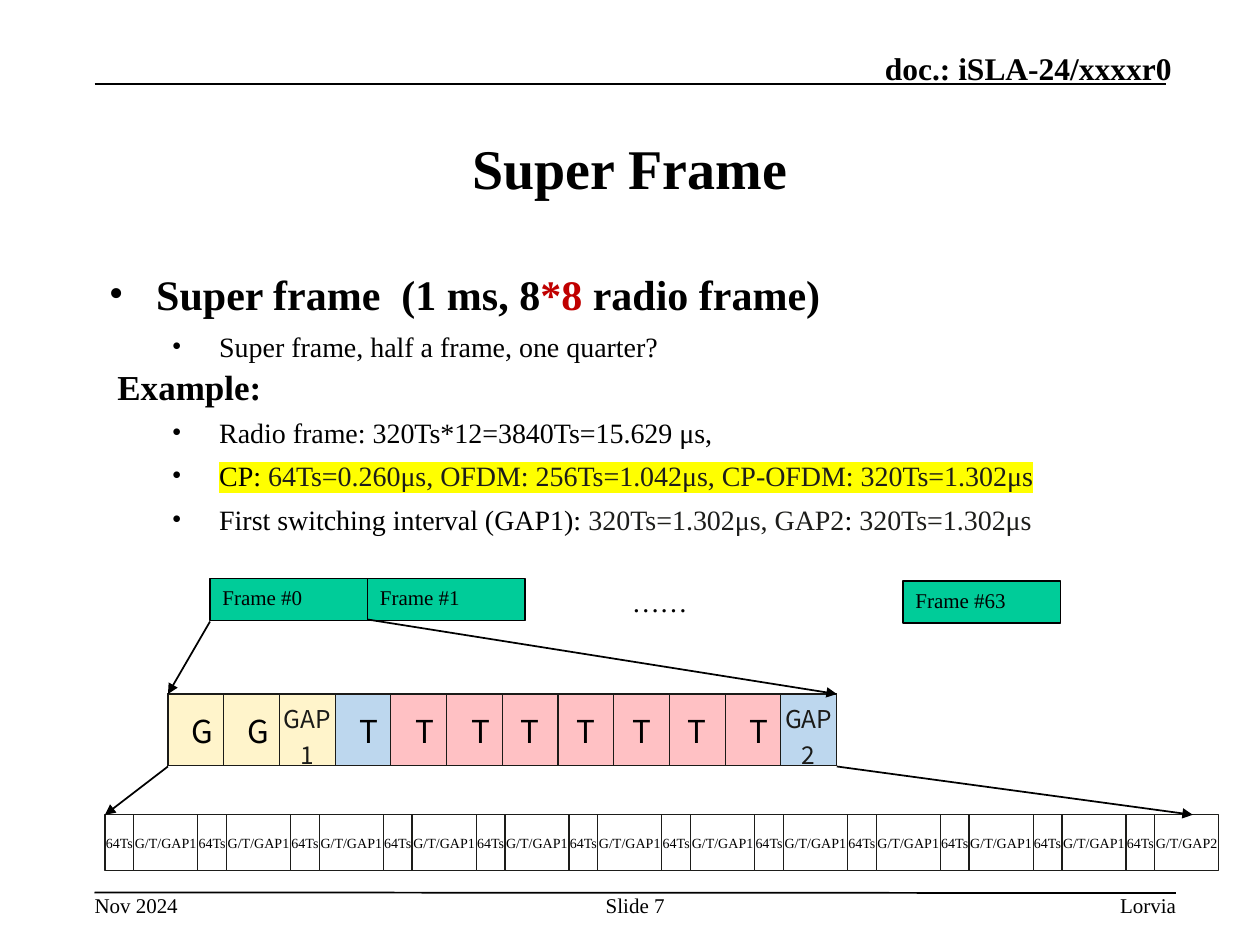
from dataclasses import dataclass, field
from typing import Any

from lxml import etree
from pptx import Presentation
from pptx.dml.color import RGBColor
from pptx.enum.shapes import MSO_CONNECTOR, MSO_SHAPE
from pptx.enum.text import MSO_ANCHOR, MSO_AUTO_SIZE, PP_ALIGN
from pptx.oxml.ns import qn
from pptx.util import Inches, Pt

RECT = MSO_SHAPE.RECTANGLE
LINE = MSO_CONNECTOR.STRAIGHT
TOP, MID, BASE = MSO_ANCHOR.TOP, MSO_ANCHOR.MIDDLE, MSO_ANCHOR.BOTTOM
LEFT, MEAN, RIGHT = PP_ALIGN.LEFT, PP_ALIGN.CENTER, PP_ALIGN.RIGHT
GROW = MSO_AUTO_SIZE.SHAPE_TO_FIT_TEXT

BLACK = RGBColor(0x00, 0x00, 0x00)
WHITE = RGBColor(0xFF, 0xFF, 0xFF)
RED = RGBColor(0xC0, 0x00, 0x00)
INK = RGBColor(0x1D, 0x1D, 0x1A)
EDGE = RGBColor(0x1B, 0x1B, 0x18)
GREEN = RGBColor(0x00, 0xCC, 0x99)
CREAM = RGBColor(0xFF, 0xF4, 0xCB)
BLUE = RGBColor(0xBD, 0xD7, 0xEE)
PINK = RGBColor(0xFF, 0xC1, 0xC4)
MARK = "FFFF00"

SERIF, SANS = "Times New Roman", "Noto Sans CJK SC"
COLS, ROWS = 120, 90
WIDE, HIGH = Inches(10), Inches(7.5)
PAD = {"margin_left": 1.2, "margin_top": 0.6, "margin_right": 1.2, "margin_bottom": 0.6}
FLUSH = dict.fromkeys(PAD, 0)


@dataclass
class Box:
    x: float
    y: float
    w: float
    h: float


@dataclass
class Run:
    text: str
    tint: RGBColor = BLACK
    mark: bool = False


@dataclass
class Style:
    size: float
    bold: bool = False
    face: str = SERIF
    tint: RGBColor = BLACK
    align: Any = LEFT
    anchor: Any = TOP
    wrap: bool = True
    grow: bool = False
    pad: dict = field(default_factory=lambda: PAD)


@dataclass
class Point:
    runs: list[Run]
    size: float = 16
    level: int = 1
    gap: float = 5.7


@dataclass
class Slot:
    text: str
    fill: RGBColor
    left: float = 0
    right: float = 0


def across(n: float) -> int:
    return round(WIDE * n / COLS)


def down(n: float) -> int:
    return round(HIGH * n / ROWS)


def place(box: Box) -> tuple[int, int, int, int]:
    return across(box.x), down(box.y), across(box.w), down(box.h)


def apply(thing: Any, form: dict) -> None:
    for key, value in form.items():
        setattr(thing, key, value)


def write(part: Any, run: Run, style: Style) -> None:
    item = part.add_run()
    item.text = run.text
    apply(item.font, {"size": Pt(style.size), "bold": style.bold, "name": style.face})
    item.font.color.rgb = run.tint
    if run.mark:
        mark = etree.Element(qn("a:highlight"))
        etree.SubElement(mark, qn("a:srgbClr"), val=MARK)
        item.font._element.find(qn("a:solidFill")).addnext(mark)


def fill_text(frame: Any, text: str, style: Style) -> None:
    pads = {key: across(n) for key, n in style.pad.items()}
    apply(frame, pads | {"word_wrap": style.wrap, "vertical_anchor": style.anchor})
    if style.grow:
        frame.auto_size = GROW
    part = frame.paragraphs[0]
    part.alignment = style.align
    write(part, Run(text, style.tint), style)


def add_text(shapes: Any, box: Box, text: str, style: Style) -> None:
    fill_text(shapes.add_textbox(*place(box)).text_frame, text, style)


def add_block(shapes: Any, box: Box, text: str, fill: RGBColor, edge: RGBColor,
              width: float, style: Style) -> None:
    block = shapes.add_shape(RECT, *place(box))
    block.shadow.inherit = False
    block.fill.solid()
    block.fill.fore_color.rgb = fill
    block.line.color.rgb = edge
    block.line.width = Pt(width)
    fill_text(block.text_frame, text, style)


def add_line(shapes: Any, x: float, y: float, to_x: float, to_y: float, tip: bool) -> None:
    line = shapes.add_connector(LINE, across(x), down(y), across(to_x), down(to_y))
    line.line.color.rgb = BLACK
    line.line.width = Pt(1)
    if tip:
        etree.SubElement(line.line._get_or_add_ln(), qn("a:tailEnd"), type="triangle")
    etree.SubElement(line._element.spPr, qn("a:effectLst"))


def add_points(shapes: Any, box: Box, points: list[Point]) -> None:
    frame = shapes.add_textbox(*place(box)).text_frame
    frame.word_wrap = True
    for i, point in enumerate(points):
        part = frame.add_paragraph() if i else frame.paragraphs[0]
        part.level = point.level
        prop = part._p.get_or_add_pPr()
        prop.set("marL", str(across(4.5 + 6 * point.level)))
        prop.set("indent", str(-across(4.5)))
        tint = etree.SubElement(prop, qn("a:buClr"))
        etree.SubElement(tint, qn("a:srgbClr"), val=str(BLACK))
        etree.SubElement(prop, qn("a:buFont"), typeface=SERIF)
        etree.SubElement(prop, qn("a:buChar"), char="•")
        part.space_before = Pt(point.gap)
        for run in point.runs:
            write(part, run, Style(point.size, bold=point.level == 0))


def add_slots(shapes: Any, box: Box, slots: list[Slot]) -> None:
    shape = shapes.add_table(1, len(slots), *place(box))
    table = shape.table
    apply(table, {"first_row": False, "horz_banding": False})
    table.rows[0].height = down(4.92)
    shape.height = down(box.h)
    for i, slot in enumerate(slots):
        table.columns[i].width = across(box.w / len(slots))
        cell = table.cell(0, i)
        pads = PAD | {"margin_left": slot.left, "margin_right": slot.right}
        apply(cell, {key: across(n) for key, n in pads.items()})
        cell.vertical_anchor = MID
        part = cell.text_frame.paragraphs[0]
        part.alignment = MEAN
        gap = slot.text.startswith("GAP")
        write(part, Run(slot.text, EDGE if gap else BLACK), Style(14 if gap else 18, face=SANS))
        prop = cell._tc.get_or_add_tcPr()
        for side in ("lnL", "lnR", "lnT", "lnB"):
            line = etree.SubElement(prop, qn(f"a:{side}"), w=str(Pt(0.75)))
            paint = etree.SubElement(line, qn("a:solidFill"))
            etree.SubElement(paint, qn("a:srgbClr"), val=str(EDGE))
        cell.fill.solid()
        cell.fill.fore_color.rgb = slot.fill


POINTS = [
    Point([Run("Super frame  (1 ms, 8"), Run("*8", RED), Run(" radio frame)")], 24, 0, 0),
    Point([Run("Super frame, half a frame, one quarter?")]),
    Point([Run("Radio frame: 320Ts*12=3840Ts=15.629 μs,")], gap=30),
    Point([Run("CP: ", mark=True),
           Run("64Ts=0.260μs, OFDM: 256Ts=1.042μs, CP-OFDM: 320Ts=1.302μs", INK, True)]),
    Point([Run("First switching interval (GAP1): "), Run("320Ts=1.302μs, GAP2", INK),
           Run(": "), Run("320Ts=1.302μs", INK)]),
]
SLOTS = [
    *[Slot("G", CREAM, 1.2)] * 2, Slot("GAP1", CREAM), Slot("T", BLUE, 1.2),
    *[Slot("T", PINK, 1.2)] * 2, Slot("T", PINK, 1.2, 1.2),
    *[Slot("T", PINK)] * 3, Slot("T", PINK, 1.2), Slot("GAP2", BLUE),
]
FRAMES = [("Frame #0", 20, 55.1), ("Frame #1", 35, 55.1), ("Frame #63", 86, 55.35)]
RULES = [(9, 8, 111, 8), (9, 85, 112, 85.05)]
LINKS = [(20, 59.2, 16, 66.1), (35, 59, 79.7, 66.1),
         (16, 73, 10, 77.6), (79.7, 73, 113.6, 77.6)]
LABELS = [
    (Box(9, 85, 8, 2.4), "Nov 2024", Style(12, wrap=False, grow=True, pad=FLUSH)),
    (Box(65.6, 4.7, 46, 3.6), "doc.: iSLA-24/xxxxr0",
     Style(18, True, align=RIGHT, anchor=BASE, pad=FLUSH)),
    (Box(90, 85, 22, 2.5), "Lorvia", Style(12, align=RIGHT, grow=True, pad=FLUSH)),
    (Box(57, 85, 7, 4.8), "Slide 7", Style(12, align=MEAN, wrap=False, grow=True, pad=FLUSH)),
    (Box(59, 55.1, 19, 4.4), "……", Style(16, grow=True)),
    (Box(10, 34.2, 18, 5.3), "Example:", Style(20, True, grow=True)),
]
CELLS, PREFIX, BODY = 12, 2.73, 6.11


def main() -> None:
    deck = Presentation()
    apply(deck, {"slide_width": WIDE, "slide_height": HIGH})
    slide = deck.slides.add_slide(deck.slide_layouts[5])
    shapes = slide.shapes
    title = shapes.title
    apply(title, dict(zip(("left", "top", "width", "height"), place(Box(9, 9, 102, 13.9)))))
    fill_text(title.text_frame, "Super Frame", Style(32, True, align=MEAN, anchor=MID))
    for rule in RULES:
        add_line(shapes, *rule, False)
    add_points(shapes, Box(9.2, 25, 102, 54), POINTS)
    for text, x, y in FRAMES:
        add_block(shapes, Box(x, y, 15, 4), text, GREEN, BLACK, 1, Style(12))
    add_slots(shapes, Box(16, 66.1, 63.7, 6.84), SLOTS)
    strip = shapes.add_group_shape().shapes
    tiny = Style(8, align=MEAN, anchor=MID, wrap=False, pad=FLUSH)
    for i in range(CELLS):
        x = 10 + i * (PREFIX + BODY)
        last = "G/T/GAP2" if i == CELLS - 1 else "G/T/GAP1"
        for text, left, width in (("64Ts", x, PREFIX), (last, x + PREFIX, BODY)):
            add_block(strip, Box(left, 77.6, width, 5.3), text, WHITE, INK, 0.75, tiny)
    for link in LINKS:
        add_line(shapes, *link, True)
    for label in LABELS:
        add_text(shapes, *label)
    deck.save("out.pptx")


if __name__ == "__main__":
    main()
